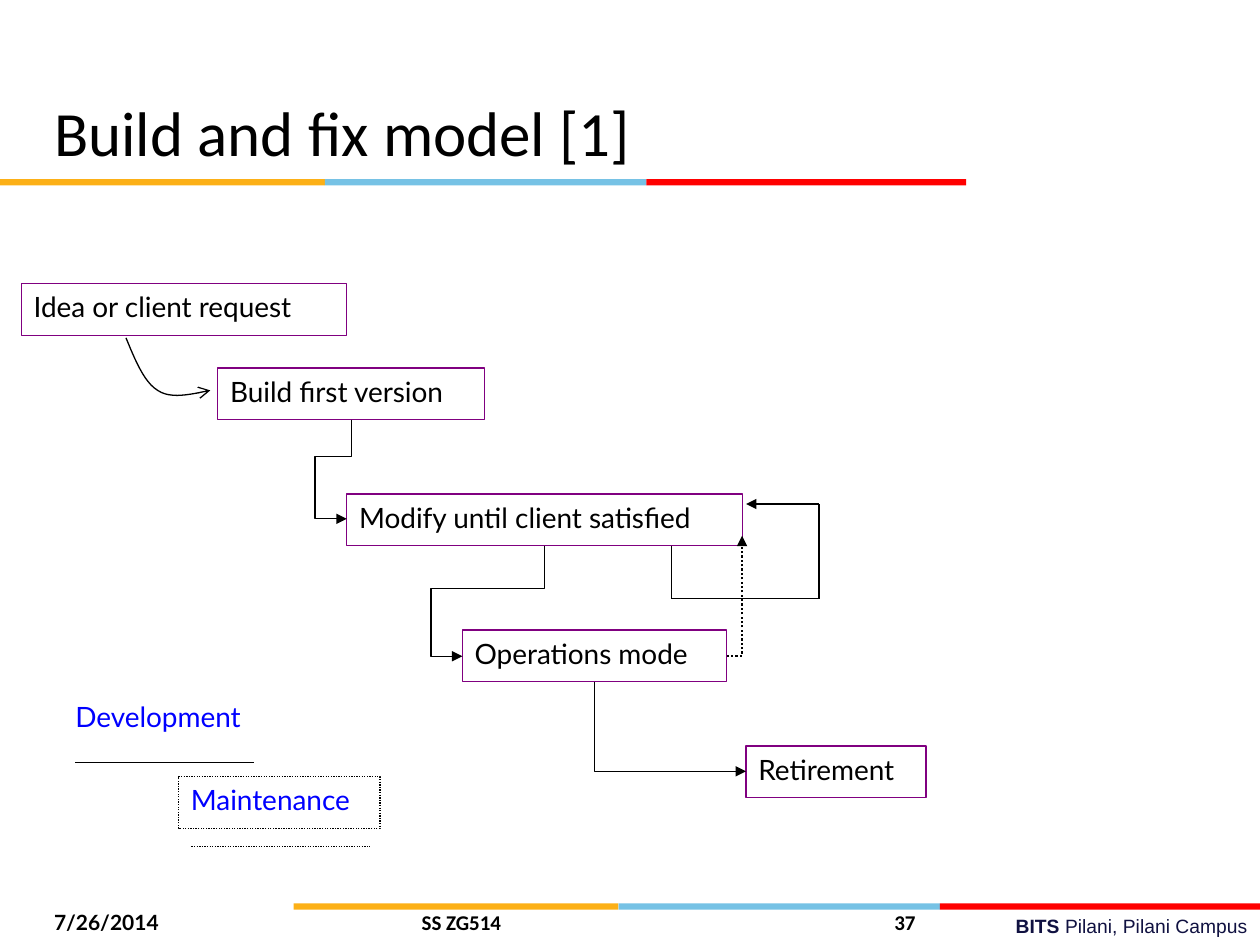
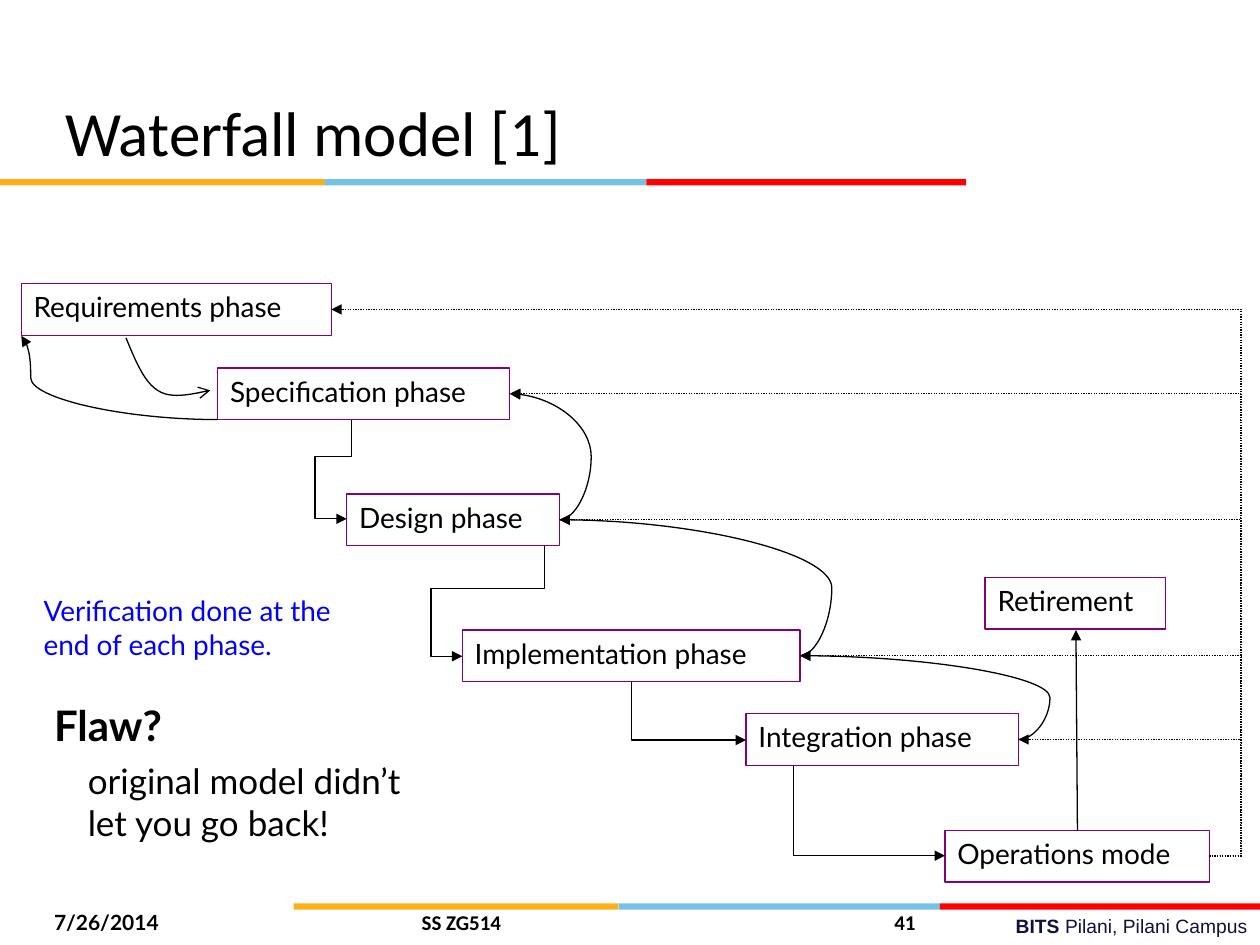
import itertools

import pptx
import pptx.dml.color
import pptx.enum.dml
import pptx.enum.shapes
import pptx.enum.text
import pptx.oxml.ns
import pptx.util
from lxml import etree

Cm = pptx.util.Cm
Pt = pptx.util.Pt
CONNECTOR = pptx.enum.shapes.MSO_CONNECTOR
RECTANGLE = pptx.enum.shapes.MSO_SHAPE.RECTANGLE
ANCHOR = pptx.enum.text.MSO_ANCHOR
ALIGN = pptx.enum.text.PP_ALIGN
qn = pptx.oxml.ns.qn

BLACK, BLUE, PURPLE, NAVY = "000000", "0000FF", "800080", "101141"
BAND_COLOURS = ("FCB017", "76C2E5", "FF0000")
BAND_WIDTHS = (6.55, 6.48, 6.45)
BOX_HEIGHT = 1.04
SIDE_GAP = 0.64


def colour(hex_string):
    return pptx.dml.color.RGBColor.from_string(hex_string)


def add_run(paragraph, text, size, font, hex_string=BLACK, bold=False):
    run = paragraph.add_run()
    run.text = text
    run.font.size = Pt(size)
    run.font.name = font
    run.font.bold = bold
    run.font.color.rgb = colour(hex_string)


def style_line(shape, hex_string=BLACK, width=0.75, dotted=False):
    shape.line.color.rgb = colour(hex_string)
    shape.line.width = Pt(width)
    if dotted:
        shape.line.dash_style = pptx.enum.dml.MSO_LINE.ROUND_DOT


def add_arrowhead(shape, kind="triangle"):
    line = shape._element.spPr.find(qn("a:ln"))
    etree.SubElement(line, qn("a:tailEnd"), type=kind)


def add_text(slide, left, top, width, height, lines, size=16, font="Lato",
             hex_string=BLACK, bold=False):
    box = slide.shapes.add_textbox(Cm(left), Cm(top), Cm(width), Cm(height))
    frame = box.text_frame
    frame.word_wrap = True
    for index, line in enumerate(lines):
        paragraph = frame.add_paragraph() if index else frame.paragraphs[0]
        add_run(paragraph, line, size, font, hex_string, bold)


def add_box(slide, text, left, top, width, border=PURPLE, hex_string=BLACK, dotted=False):
    box = slide.shapes.add_shape(RECTANGLE, Cm(left), Cm(top), Cm(width), Cm(BOX_HEIGHT))
    box.shadow.inherit = False
    box.fill.background()
    style_line(box, border, dotted=dotted)
    frame = box.text_frame
    frame.word_wrap = True
    frame.vertical_anchor = ANCHOR.TOP
    frame.paragraphs[0].alignment = ALIGN.LEFT
    add_run(frame.paragraphs[0], text, 16, "Lato", hex_string)
    return box


def right_middle(box):
    """Centre of the right edge, in centimetres."""
    return box.left.cm + box.width.cm, box.top.cm + box.height.cm / 2


def add_line(slide, start, end, kind=CONNECTOR.STRAIGHT, arrow=False, width=0.75, dotted=False):
    connector = slide.shapes.add_connector(kind, *(Cm(value) for value in (*start, *end)))
    style_line(connector, width=width, dotted=dotted)
    etree.SubElement(connector._element.spPr, qn("a:effectLst"))
    if arrow:
        add_arrowhead(connector)
    return connector


def set_geometry(connector, preset, *adjustments):
    geometry = connector._element.spPr.find(qn("a:prstGeom"))
    geometry.set("prst", preset)
    guides = geometry.find(qn("a:avLst"))
    if guides is None:
        guides = etree.SubElement(geometry, qn("a:avLst"))
    for number, value in enumerate(adjustments, 1):
        etree.SubElement(guides, qn("a:gd"), name=f"adj{number}",
                         fmla=f"val {round(value * 100000)}")


def add_side_link(slide, start, end, bend, curved=False):
    """Link that leaves sideways, turns at x = bend and comes back to end."""
    kind = CONNECTOR.CURVE if curved else CONNECTOR.ELBOW
    link = add_line(slide, start, end, kind, arrow=True, dotted=not curved)
    set_geometry(link, "curvedConnector3" if curved else "bentConnector3",
                 (bend - start[0]) / (end[0] - start[0]))


def add_drop_link(slide, start, end, bend=None):
    """Link that leaves downwards; with a bend it detours to the left."""
    (x0, y0), (x1, y1) = start, end
    across, down = abs(x1 - x0), y1 - y0
    left, top = (x0 + x1 - down) / 2, (y0 + y1 - across) / 2
    link = add_line(slide, (left, top), (left + down, top + across), CONNECTOR.ELBOW, arrow=True)
    transform = link._element.spPr.find(qn("a:xfrm"))
    if bend:
        transform.set("rot", str(90 * 60000))
        set_geometry(link, "bentConnector4", (bend[1] - y0) / down, (x0 - bend[0]) / across)
    else:
        transform.set("rot", str(270 * 60000))
        transform.set("flipH", "1")
        set_geometry(link, "bentConnector2")


def bezier(points, steps=12):
    """Points along a cubic curve, after its first one."""
    for step in range(1, steps + 1):
        t = step / steps
        weights = ((1 - t) ** 3, 3 * t * (1 - t) ** 2, 3 * t * t * (1 - t), t ** 3)
        yield tuple(sum(weight * point[axis] for weight, point in zip(weights, points))
                    for axis in (0, 1))


def add_first_step_arrow(slide):
    start, middle, end = (2.54, 6.81), (3.18, 7.87), (4.24, 7.87)
    halves = ((start, (2.72, 7.24), (2.9, 7.7), middle),
              (middle, (3.45, 8.05), (3.84, 7.95), end))
    builder = slide.shapes.build_freeform(Cm(start[0]), Cm(start[1]))
    curve = itertools.chain.from_iterable(bezier(half) for half in halves)
    builder.add_line_segments([(Cm(x), Cm(y)) for x, y in curve], close=False)
    arrow = builder.convert_to_shape()
    arrow.shadow.inherit = False
    arrow.fill.background()
    style_line(arrow)
    add_arrowhead(arrow, "arrow")


def add_first_links(slide):
    """The three links that both models have in common."""
    add_first_step_arrow(slide)
    add_drop_link(slide, (7.09, 8.46), (6.99, 10.46), bend=(6.35, 9.2))
    add_drop_link(slide, (10.97, 11), (9.32, 13.23), bend=(8.69, 11.86))


def add_band(slide, left, top):
    for width, hex_string in zip(BAND_WIDTHS, BAND_COLOURS):
        stripe = slide.shapes.add_shape(RECTANGLE, Cm(left), Cm(top), Cm(width), Cm(0.13))
        stripe.shadow.inherit = False
        stripe.fill.solid()
        stripe.fill.fore_color.rgb = colour(hex_string)
        stripe.line.fill.background()
        left += width


def add_slide(presentation, title, title_left, number):
    slide = presentation.slides.add_slide(presentation.slide_layouts[5])
    add_band(slide, 5.92, 18.21)
    add_band(slide, 0, 3.61)

    heading = slide.shapes.title
    heading.left, heading.top = Cm(title_left), Cm(1.7)
    heading.width, heading.height = Cm(21.64), Cm(1.9)
    heading.text_frame.vertical_anchor = ANCHOR.MIDDLE
    heading.text_frame.paragraphs[0].alignment = ALIGN.LEFT
    add_run(heading.text_frame.paragraphs[0], title, 36, "Calibri")

    campus = slide.shapes.add_textbox(Cm(9.1), Cm(18.31), Cm(16.3), Cm(0.73))
    campus.text_frame.word_wrap = True
    paragraph = campus.text_frame.paragraphs[0]
    paragraph.alignment = ALIGN.RIGHT
    add_run(paragraph, "BITS ", 11, "Arial", NAVY, bold=True)
    add_run(paragraph, "Pilani, Pilani Campus", 11, "Arial", NAVY)

    for text, left, width, font in (("7/26/2014", 0.84, 5.92, "Lato"),
                                    ("SS ZG514", 8.25, 8.05, "Calibri"),
                                    (number, 17.78, 5.92, "Calibri")):
        add_text(slide, left, 18.21, width, 1.02, [text], 12, font, bold=True)
    return slide


def add_build_and_fix(presentation):
    slide = add_slide(presentation, "Build and fix model [1]", 0.84, "37")
    add_box(slide, "Idea or client request", 0.43, 5.72, 6.55)
    add_box(slide, "Build first version", 4.39, 7.42, 5.38)
    add_box(slide, "Modify until client satisfied", 6.99, 9.96, 7.98)
    operations = add_box(slide, "Operations mode", 9.32, 12.7, 5.33)
    add_box(slide, "Retirement", 15.04, 15.04, 3.63)
    add_first_links(slide)
    add_drop_link(slide, (11.99, 13.74), (15.04, 15.55))

    maintenance = add_line(slide, right_middle(operations), (14.96, 10.8),
                           CONNECTOR.ELBOW, arrow=True, width=1.25, dotted=True)
    set_geometry(maintenance, "bentConnector2")

    loop = [(13.54, 11), (13.54, 12.07), (16.51, 12.07), (16.51, 10.16), (15.04, 10.16)]
    for start, end in zip(loop, loop[1:]):
        add_line(slide, start, end, arrow=end == loop[-1])

    add_text(slide, 1.27, 13.97, 4.19, 1.02, ["Development"], hex_string=BLUE)
    add_line(slide, (1.52, 15.37), (5.12, 15.37))
    add_box(slide, "Maintenance", 3.6, 15.66, 4.06, BLACK, BLUE, dotted=True)
    add_line(slide, (3.86, 17.06), (7.45, 17.06), dotted=True)


def add_waterfall(presentation):
    slide = add_slide(presentation, "Waterfall model [1]", 1.06, "41")
    phases = [add_box(slide, *phase) for phase in (
        ("Requirements phase", 0.43, 5.72, 6.25),
        ("Specification phase", 4.39, 7.42, 5.89),
        ("Design phase", 6.99, 9.96, 4.29),
        ("Implementation phase", 9.32, 12.7, 6.81),
        ("Integration phase", 15.04, 14.39, 5.49),
    )]
    operations = add_box(slide, "Operations mode", 19.05, 16.74, 5.33)
    add_box(slide, "Retirement", 19.86, 11.64, 3.63)

    add_first_links(slide)
    add_drop_link(slide, (12.73, 13.75), (15.04, 14.92))
    add_drop_link(slide, (16, 15.44), (19.05, 17.25))
    add_line(slide, (21.72, 16.74), (21.69, 12.7), arrow=True)

    add_side_link(slide, (4.39, 8.46), (0.43, 6.77), bend=0.62, curved=True)
    exits = [right_middle(phase) for phase in phases]
    for earlier, later in zip(exits[1:], exits[2:]):
        add_side_link(slide, later, earlier, later[0] + SIDE_GAP, curved=True)
    source = right_middle(operations)
    for phase_exit in exits:
        add_side_link(slide, source, phase_exit, source[0] + SIDE_GAP)

    add_text(slide, 0.63, 11.85, 6.81, 2.54,
             ["Verification done at the end of each phase."], hex_string=BLUE)
    add_text(slide, 0.84, 13.97, 3.3, 1.27, ["Flaw?"], 24, bold=True)
    add_text(slide, 1.52, 15.19, 7.2, 1.96, ["original model didn’t", "let you go back!"], 20)


def main():
    presentation = pptx.Presentation()
    presentation.slide_width, presentation.slide_height = Cm(25.4), Cm(19.05)
    add_build_and_fix(presentation)
    add_waterfall(presentation)
    presentation.save("out.pptx")


if __name__ == "__main__":
    main()
